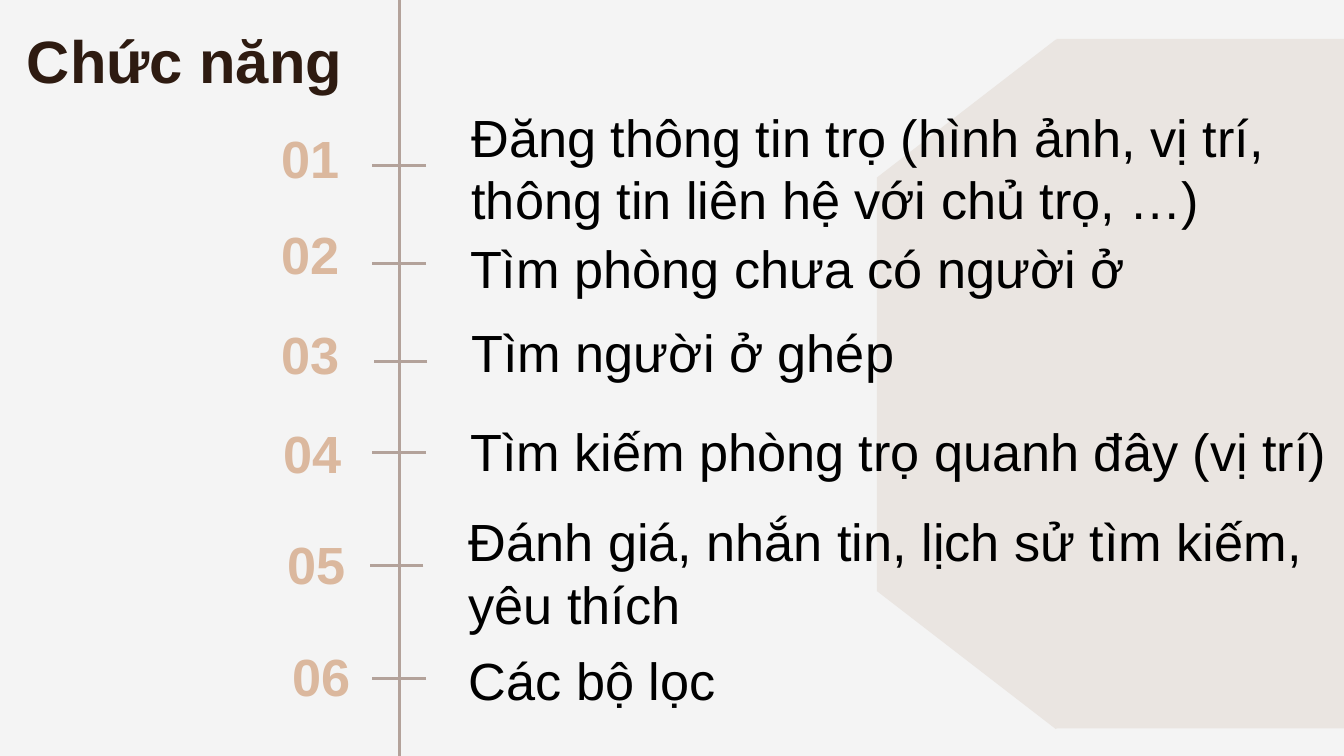
from dataclasses import dataclass

from lxml import etree
from pptx import Presentation
from pptx.dml.color import RGBColor
from pptx.enum.shapes import MSO_CONNECTOR, MSO_SHAPE
from pptx.enum.text import MSO_ANCHOR, MSO_AUTO_SIZE, PP_ALIGN
from pptx.oxml.ns import qn
from pptx.util import Inches, Pt

STRAIGHT = MSO_CONNECTOR.STRAIGHT
HEXAGON, RECT = MSO_SHAPE.FLOWCHART_PREPARATION, MSO_SHAPE.RECTANGLE
TOP, MIDDLE = MSO_ANCHOR.TOP, MSO_ANCHOR.MIDDLE
LEFT, NO_FIT = PP_ALIGN.LEFT, MSO_AUTO_SIZE.NONE

BACK, PANEL, LINE = "F4F4F4", "EAE5E1", "B3A29A"
TITLE_FONT = {"name": "Arial", "size": Pt(32), "bold": True}
NUMBER_FONT = {"name": "Arial", "size": Pt(28), "bold": True}
BODY_FONT = {"name": "Arial", "size": Pt(28), "bold": False}

SLIDE_W = 10
SLIDE_H = SLIDE_W * 9 / 16
AXIS_X = 2.97
TICK_W = 0.4
ROW_H = 0.63


@dataclass
class Feature:
    text: str
    text_box: tuple[float, float, float, float]
    number_at: tuple[float, float]
    tick_x: float
    tick_y: float


FEATURES = [
    Feature("Đăng thông tin trọ (hình ảnh, vị trí, thông tin liên hệ với chủ trọ, …)",
            (3.41, 0.68, 6.11, 0.94), (2, 0.86), 2.77, 1.23),
    Feature("Tìm phòng chưa có người ở",
            (3.4, 1.66, 6.36, 0.47), (2, 1.57), 2.77, 1.96),
    Feature("Tìm người ở ghép",
            (3.41, 2.28, 5.75, ROW_H), (2, 2.32), 2.78, 2.69),
    Feature("Tìm kiếm phòng trọ quanh đây (vị trí)",
            (3.4, 3.02, 6.79, ROW_H), (2.01, 3.05), 2.77, 3.37),
    Feature("Đánh giá, nhắn tin, lịch sử tìm kiếm, yêu thích",
            (3.39, 3.69, 6.56, 0.95), (2.04, 3.88), 2.75, 4.21),
    Feature("Các bộ lọc",
            (3.39, 4.72, 3.22, ROW_H), (2.08, 4.71), 2.77, 5.05),
]


def color(value: str) -> RGBColor:
    return RGBColor.from_string(value)


def set_text(sp, text: str, font: dict, rgb: str, anchor=TOP) -> None:
    tf = sp.text_frame
    frame = {"word_wrap": True, "auto_size": NO_FIT, "vertical_anchor": anchor}
    for side in ("left", "top", "right", "bottom"):
        frame[f"margin_{side}"] = Inches(0.1)
    for name, value in frame.items():
        setattr(tf, name, value)
    p = tf.paragraphs[0]
    p.alignment = LEFT
    r = p.add_run()
    r.text = text
    for name, value in font.items():
        setattr(r.font, name, value)
    r.font.color.rgb = color(rgb)


def add_text(s, box: tuple, text: str, font: dict, rgb: str, anchor=TOP) -> None:
    sp = s.shapes.add_textbox(*map(Inches, box))
    set_text(sp, text, font, rgb, anchor)


def add_panel(s, kind, box: tuple, rotation: float = 0) -> None:
    sp = s.shapes.add_shape(kind, *map(Inches, box))
    sp.rotation = rotation
    sp.shadow.inherit = False
    sp.fill.solid()
    sp.fill.fore_color.rgb = color(PANEL)
    sp.line.fill.background()


def add_line(s, x1: float, y1: float, x2: float, y2: float) -> None:
    ln = s.shapes.add_connector(STRAIGHT, *map(Inches, (x1, y1, x2, y2)))
    ln.line.color.rgb = color(LINE)
    ln.line.width = Pt(1.5)
    etree.SubElement(ln._element.spPr, qn("a:effectLst"))


def main() -> None:
    prs = Presentation()
    prs.slide_width, prs.slide_height = Inches(SLIDE_W), Inches(SLIDE_H)
    s = prs.slides.add_slide(prs.slide_layouts[5])
    s.background.fill.solid()
    s.background.fill.fore_color.rgb = color(BACK)

    # Panel on the right: a hexagon on its side, extended to the slide edge
    add_panel(s, HEXAGON, (5.29, 1.53, 5.13, 2.66), 90)
    add_panel(s, RECT, (7.86, 0.29, 2.33, 5.13))

    # Title
    title = s.shapes.title
    title.left, title.top, title.width, title.height = map(Inches, (0.1, 0.08, 2.8, 0.63))
    set_text(title, "Chức năng", TITLE_FONT, "2E1B11")

    # Timeline with one numbered tick for each feature
    add_line(s, AXIS_X, -0.06, AXIS_X, 5.69)
    for i, f in enumerate(FEATURES, 1):
        add_line(s, f.tick_x + TICK_W, f.tick_y, f.tick_x, f.tick_y)
        add_text(s, (*f.number_at, 0.67, ROW_H), f"{i:02}", NUMBER_FONT, "DBB89E", MIDDLE)
        add_text(s, f.text_box, f.text, BODY_FONT, "000000")

    prs.save("out.pptx")


if __name__ == "__main__":
    main()
